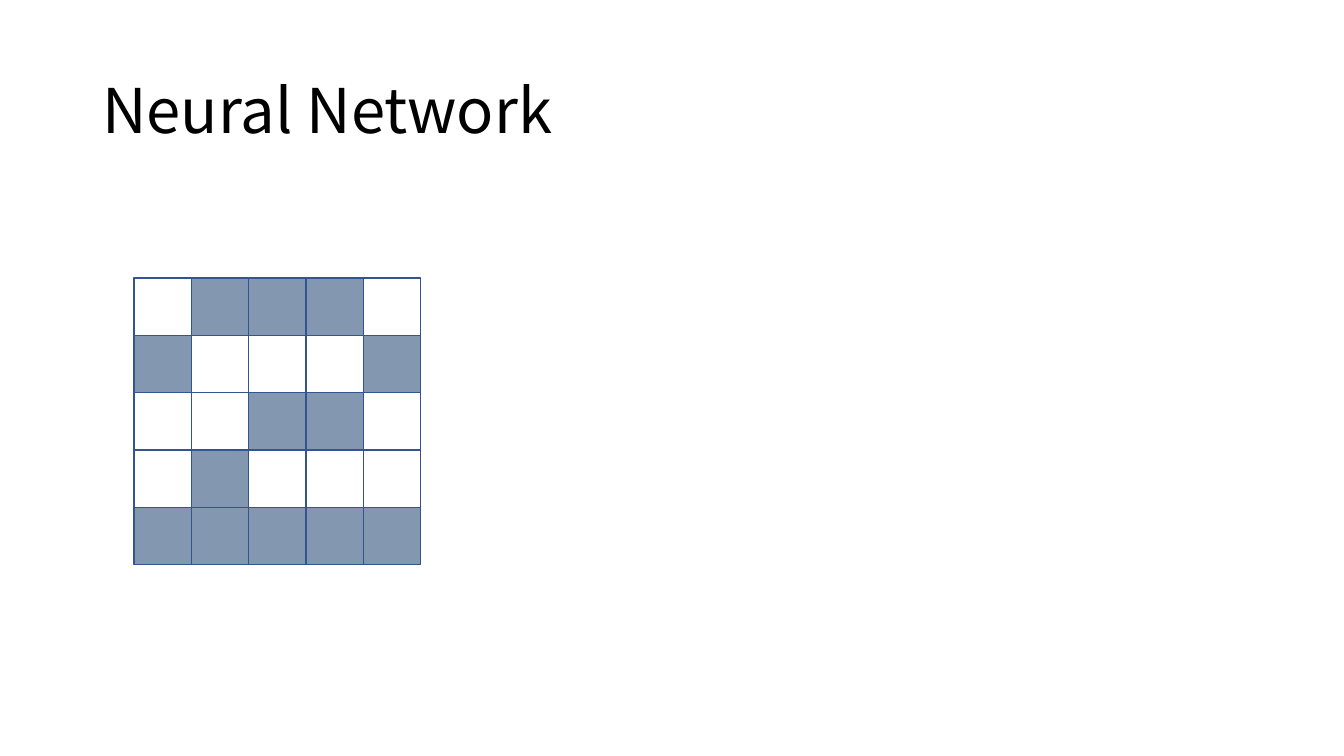
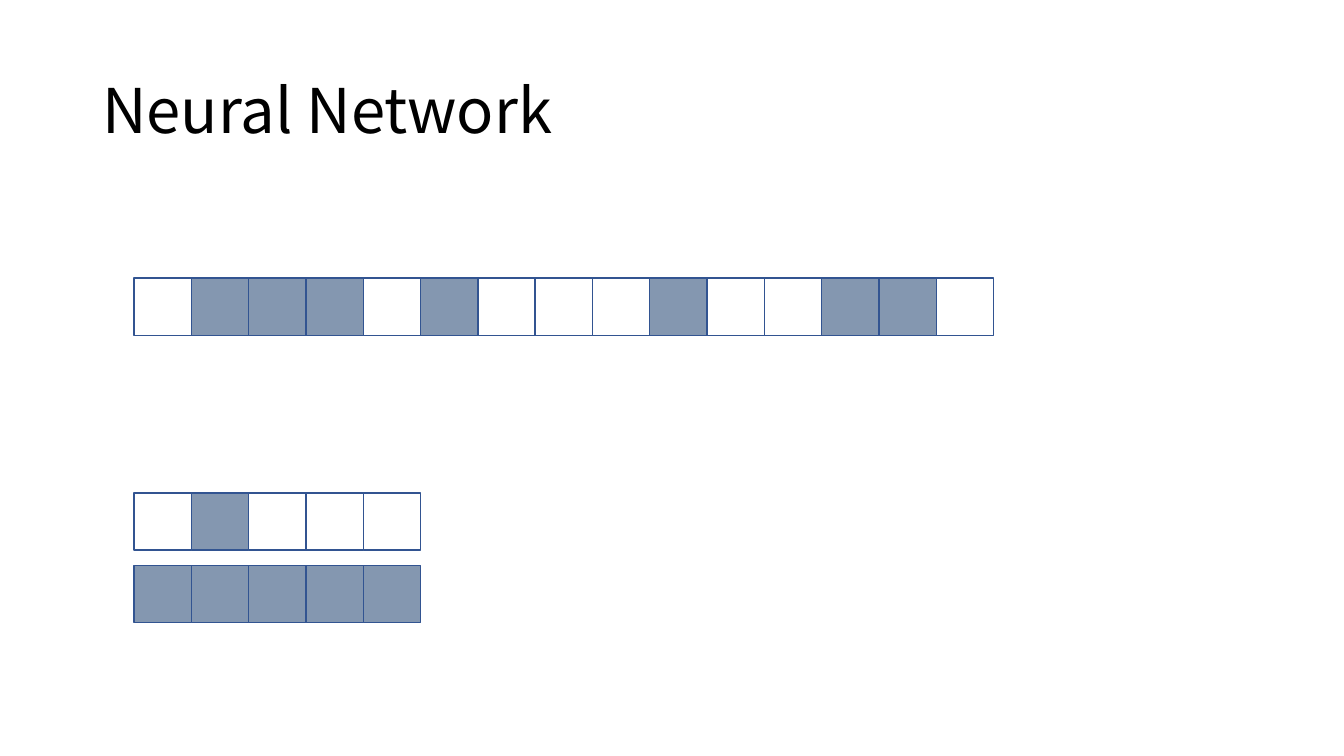
from pptx import Presentation
from pptx.dml.color import RGBColor
from pptx.enum.shapes import MSO_SHAPE
from pptx.enum.text import MSO_ANCHOR
from pptx.util import Cm, Pt

RECT = MSO_SHAPE.RECTANGLE
MIDDLE = MSO_ANCHOR.MIDDLE

TITLE = "Neural Network"
FONT = "Noto Sans CJK KR"
BLACK = "000000"
OUTLINE = "325491"
PIXEL_FILLS = {"#": "8497B0", ".": "FFFFFF"}

# The digit 2 as a bitmap, one string per row
DIGIT = [
    ".###.",
    "#...#",
    "..##.",
    ".#...",
    "#####",
]

ROW_WIDTH = Cm(7.22)
PIXEL = ROW_WIDTH // len(DIGIT[0])
GRID_LEFT, GRID_TOP = Cm(3.38), Cm(7.01)

# Each slide is a list of blocks: bitmap rows, left, top
SLIDES = [
    [(DIGIT, GRID_LEFT, GRID_TOP)],
    [([row], GRID_LEFT + i * ROW_WIDTH, GRID_TOP) for i, row in enumerate(DIGIT[:3])]
    + [([DIGIT[3]], GRID_LEFT, Cm(12.42)), ([DIGIT[4]], GRID_LEFT, Cm(14.25))],
]


def rgb(color):
    return RGBColor.from_string(color)


def add_title(s):
    tf = s.shapes.add_textbox(Cm(2.33), Cm(1.01), Cm(29.21), Cm(3.68)).text_frame
    tf.word_wrap = True
    tf.vertical_anchor = MIDDLE
    p = tf.paragraphs[0]
    p.text = TITLE
    p.line_spacing = 0.9
    font = p.runs[0].font
    font.name, font.size = FONT, Pt(44)
    font.color.rgb = rgb(BLACK)


def add_pixels(s, rows, left, top):
    """Draw bitmap rows as one group of touching squares."""
    group = s.shapes.add_group_shape()
    for y, row in enumerate(rows):
        for x, pixel in enumerate(row):
            sp = group.shapes.add_shape(
                RECT, left + x * PIXEL, top + y * PIXEL, PIXEL, PIXEL)
            sp.shadow.inherit = False
            sp.fill.solid()
            sp.fill.fore_color.rgb = rgb(PIXEL_FILLS[pixel])
            sp.line.color.rgb = rgb(OUTLINE)
            sp.line.width = Pt(1)


def main():
    prs = Presentation()
    prs.slide_width, prs.slide_height = Cm(33.87), Cm(19.05)
    for blocks in SLIDES:
        s = prs.slides.add_slide(prs.slide_layouts[6])
        add_title(s)
        for rows, left, top in blocks:
            add_pixels(s, rows, left, top)
    prs.save("out.pptx")


if __name__ == "__main__":
    main()
